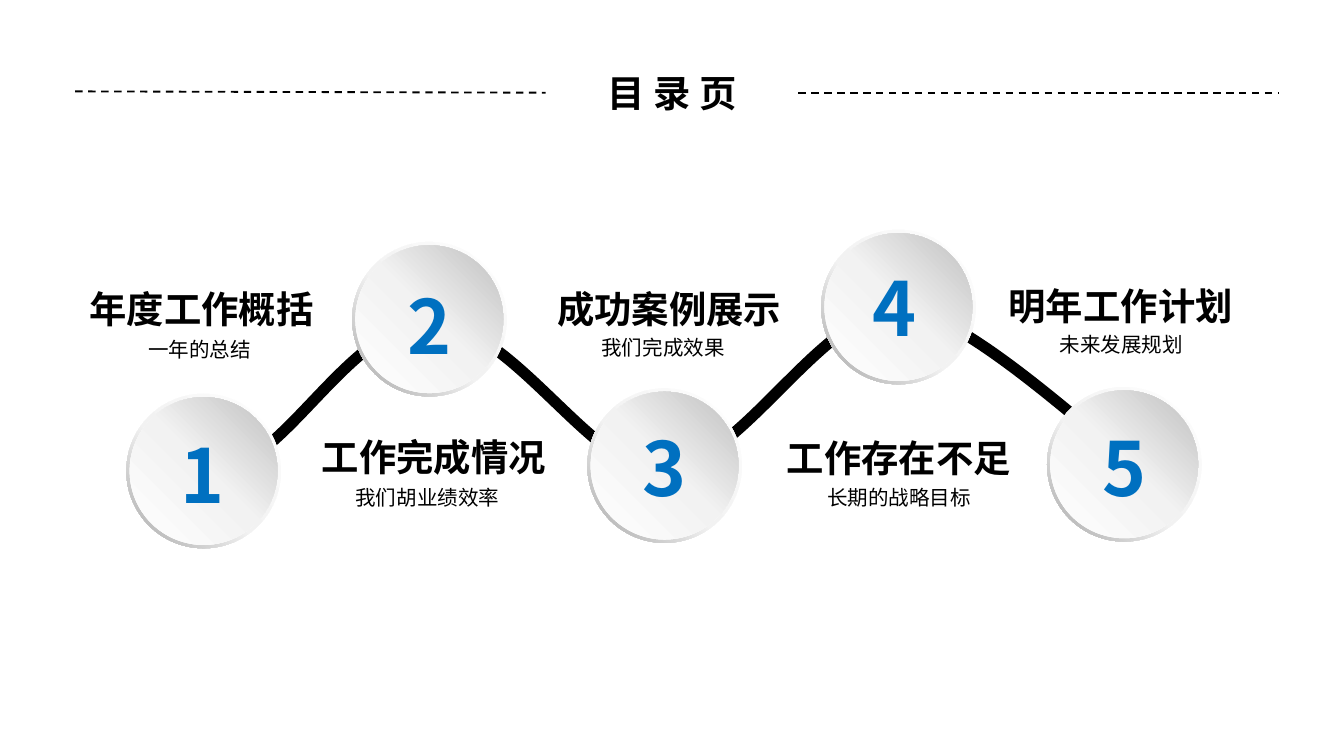
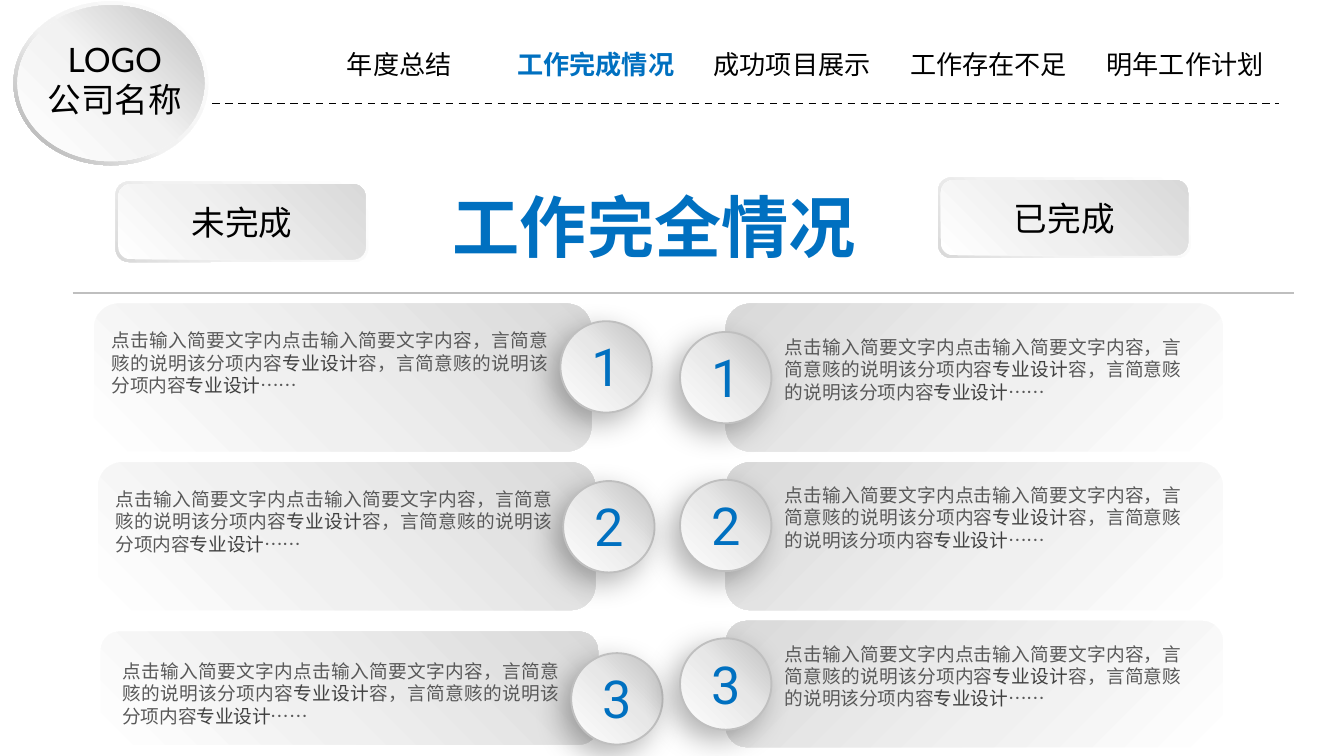
"""Build a contents slide and a work-completion slide on a grid of 100 columns."""
from dataclasses import dataclass
from typing import NamedTuple

from lxml import etree
from pptx import Presentation
from pptx.dml.color import RGBColor
from pptx.enum.dml import MSO_LINE
from pptx.enum.shapes import MSO_CONNECTOR, MSO_SHAPE
from pptx.enum.text import MSO_ANCHOR, MSO_AUTO_SIZE, PP_ALIGN
from pptx.oxml.ns import qn
from pptx.util import Inches, Pt

SLIDE_WIDTH, SLIDE_HEIGHT = Inches(10), Inches(5.625)
CELL = SLIDE_WIDTH // 100

BLACK = RGBColor(0x00, 0x00, 0x00)
WHITE = RGBColor(0xFF, 0xFF, 0xFF)
BLUE = RGBColor(0x00, 0x70, 0xC0)
SILVER = RGBColor(0xBF, 0xBF, 0xBF)
MIST = RGBColor(0xF2, 0xF2, 0xF2)
PEARL = RGBColor(0xF0, 0xF0, 0xF0)
CLOUD = RGBColor(0xE7, 0xE7, 0xE7)
FOG = RGBColor(0xD9, 0xD9, 0xD9)
STEEL = RGBColor(0xA6, 0xA6, 0xA6)
BODY_GREY = RGBColor(0x59, 0x59, 0x59)
STRONG_GREY = RGBColor(0x40, 0x40, 0x40)

CJK_FONT, LOGO_FONT, NUMBER_FONT = "Noto Sans CJK SC", "Lato", "Roboto"
DONUT, ELLIPSE, ROUNDED = MSO_SHAPE.DONUT, MSO_SHAPE.OVAL, MSO_SHAPE.ROUNDED_RECTANGLE
STRAIGHT, DASH = MSO_CONNECTOR.STRAIGHT, MSO_LINE.DASH
LEFT, CENTER, JUSTIFY = PP_ALIGN.LEFT, PP_ALIGN.CENTER, PP_ALIGN.JUSTIFY
TOP, MIDDLE = MSO_ANCHOR.TOP, MSO_ANCHOR.MIDDLE
GROW = MSO_AUTO_SIZE.SHAPE_TO_FIT_TEXT


class Box(NamedTuple):
    left: float
    top: float
    width: float
    height: float

    def lengths(self) -> list[int]:
        return [round(value * CELL) for value in self]

    def inset(self, margin: float) -> "Box":
        return Box(self.left + margin, self.top + margin,
                   self.width - 2 * margin, self.height - 2 * margin)


class Gradient(NamedTuple):
    stops: tuple[tuple[int, RGBColor], ...]
    angle: int | None


@dataclass(frozen=True)
class TextStyle:
    size: float
    color: RGBColor = BLACK
    bold: bool = False
    font: str = CJK_FONT
    align: PP_ALIGN = CENTER


class Milestone(NamedTuple):
    number: int
    disc: tuple[float, float]
    digit: tuple[float, float]
    title: str
    title_at: tuple[float, float]
    caption: str
    caption_box: Box


class Card(NamedTuple):
    number: int
    panel: Box
    circle: tuple[float, float]
    note: Box
    mirrored: bool


RIM = Gradient(((0, WHITE), (55, MIST), (100, STEEL)), 135)
FACE = Gradient(((0, WHITE), (51, MIST), (100, SILVER)), 315)
BUTTON_RIM = Gradient(((0, WHITE), (62, MIST), (100, FOG)), 135)
PANEL = Gradient(((0, WHITE), (42, PEARL), (100, FOG)), 315)
BALL = Gradient(((0, WHITE), (55, CLOUD), (100, SILVER)), None)

HEADING = TextStyle(20, bold=True)
CAPTION = TextStyle(11)
MILESTONE_DIGIT = TextStyle(40, BLUE, True)
NAVIGATION = TextStyle(14)
ACTIVE_NAVIGATION = TextStyle(14, BLUE, True)
LABEL = TextStyle(18)
LOGO = TextStyle(18, font=LOGO_FONT)
BIG_TITLE = TextStyle(36, BLUE, True, align=LEFT)
CARD_DIGIT = TextStyle(28, BLUE, font=NUMBER_FONT)
NOTE = TextStyle(10, BODY_GREY, align=JUSTIFY)

MILESTONES = (
    Milestone(1, (9.4, 29.3), (12.3, 31.4), "年度工作概括", (5.2, 20.8),
              "一年的总结", Box(10, 24.6, 9.7, 2.9)),
    Milestone(2, (26.2, 18), (29.2, 20.3), "工作完成情况", (22.5, 31.8),
              "我们胡业绩效率", Box(25.4, 35.6, 12.8, 2.9)),
    Milestone(3, (43.7, 28.9), (46.7, 30.9), "成功案例展示", (40, 20.8),
              "我们完成效果", Box(43.7, 24.4, 11.3, 2.9)),
    Milestone(4, (61.1, 17.1), (63.8, 19), "工作存在不足", (57.1, 31.9),
              "长期的战略目标", Box(60.5, 35.6, 12.8, 2.9)),
    Milestone(5, (77.9, 28.8), (80.9, 30.9), "明年工作计划", (73.6, 20.6),
              "未来发展规划", Box(77.8, 24.2, 11.3, 2.9)),
)
WAVE = ((15.6, 35.2), (20.8, 35.3), (26.5, 23.5), (32.1, 23.5),
        (37.7, 23.6), (44, 35.2), (49.4, 35.3),
        (55.1, 35.1), (61.4, 23), (67, 22.9),
        (72.4, 22.8), (84.1, 34.6), (84.1, 34.4))

NAVIGATION_ITEMS = ("年度总结", "工作完成情况", "成功项目展示", "工作存在不足", "明年工作计划")
ACTIVE_ITEM = 1
BUTTONS = (("未完成", Box(8.6, 13.5, 18.8, 6)), ("已完成", Box(69.8, 13.2, 18.8, 6)))
NOTE_PARTS = ("点击输入简要文字内点击输入简要文字内容，言简意赅的说明该分项内容", "专业设计",
              "容，言简意赅的说明该分项内容", "专业设计", "……")
CARDS = (
    Card(1, Box(7, 22.6, 37, 11), (41.7, 23.9), Box(8.3, 24.5, 32.5, 5), False),
    Card(1, Box(54, 22.6, 37, 11), (50.6, 24.7), Box(58.4, 25, 29.5, 5.2), True),
    Card(2, Box(7.3, 34.4, 37, 11), (41.9, 35.8), Box(8.6, 36.3, 32.5, 5), False),
    Card(3, Box(7.5, 47, 37, 8.4), (42.5, 48.6), Box(9.1, 49.1, 32.5, 5), False),
    Card(2, Box(54, 34.4, 37, 11), (50.6, 35.7), Box(58.4, 36, 29.5, 5.2), True),
    Card(3, Box(54, 46.2, 37, 9.4), (50.6, 47.5), Box(58.4, 47.8, 29.5, 5.2), True),
)


def add_child(parent, tag: str, **attributes):
    """Append a drawing element with the given attributes."""
    return etree.SubElement(parent, qn(f"a:{tag}"),
                            {name: str(value) for name, value in attributes.items()})


def style_run(run, style: TextStyle, color: RGBColor | None = None) -> None:
    """Format one run, for Latin and East Asian letters alike."""
    run.font.size, run.font.bold, run.font.name = Pt(style.size), style.bold, style.font
    run.font.color.rgb = color or style.color
    add_child(run.font._element, "ea", typeface=CJK_FONT)


def write(text_frame, text: str, style: TextStyle) -> None:
    """Fill a text frame and format its runs."""
    text_frame.text = text
    for paragraph in text_frame.paragraphs:
        paragraph.alignment = style.align
        for run in paragraph.runs:
            style_run(run, style)


def add_text(slide, box: Box, text: str, style: TextStyle, wrap: bool = True,
             margins: bool = True, anchor: MSO_ANCHOR = TOP, grow: bool = True):
    """Add a text box and return its frame."""
    frame = slide.shapes.add_textbox(*box.lengths()).text_frame
    frame.word_wrap, frame.vertical_anchor = wrap, anchor
    if grow:
        frame.auto_size = GROW
    if not margins:
        frame.margin_left = frame.margin_top = frame.margin_right = frame.margin_bottom = 0
    write(frame, text, style)
    return frame


def add_gradient_shape(slide, kind: MSO_SHAPE, box: Box, gradient: Gradient):
    """Add an unlined preset shape with a linear or circular gradient."""
    shape = slide.shapes.add_shape(kind, *box.lengths())
    fill = add_child(shape._element.spPr, "gradFill", rotWithShape=1)
    stops = add_child(fill, "gsLst")
    for position, color in gradient.stops:
        stop = add_child(stops, "gs", pos=position * 1000)
        add_child(stop, "srgbClr", val=color)
    if gradient.angle is None:
        circle = add_child(fill, "path", path="circle")
        add_child(circle, "fillToRect", l=0, t=100000, r=100000, b=0)
    else:
        add_child(fill, "lin", ang=gradient.angle * 60000, scaled=0)
    shape.line.fill.background()
    shape.shadow.inherit = False
    return shape


def add_disc(slide, box: Box, margin: float) -> None:
    """Add a shaded disc with a raised rim."""
    rim = add_gradient_shape(slide, DONUT, box, RIM)
    rim.adjustments[0] = 0.049
    add_gradient_shape(slide, ELLIPSE, box.inset(margin), FACE)


def add_rule(slide, start: tuple[float, float], end: tuple[float, float],
             color: RGBColor = BLACK, width: float = 1, dashed: bool = True) -> None:
    """Add a straight rule between two grid points."""
    points = [round(value * CELL) for value in (*start, *end)]
    rule = slide.shapes.add_connector(STRAIGHT, *points)
    rule.line.color.rgb, rule.line.width = color, Pt(width)
    if dashed:
        rule.line.dash_style = DASH
    add_child(rule._element.spPr, "effectLst")


def add_wave(slide) -> None:
    """Draw the curve that joins the milestones."""
    builder = slide.shapes.build_freeform(*WAVE[0], scale=CELL)
    builder.add_line_segments(WAVE[1:], close=False)
    wave = builder.convert_to_shape()
    segments = list(wave._element.iter(qn("a:lnTo")))
    outline = segments[0].getparent()
    for index, segment in enumerate(segments):
        if index % 3 == 0:
            curve = add_child(outline, "cubicBezTo")
        curve.append(segment[0])
        outline.remove(segment)
    wave.fill.background()
    wave.line.color.rgb, wave.line.width = BLACK, Pt(6)
    wave.shadow.inherit = False


def add_milestone(slide, milestone: Milestone) -> None:
    """Add a numbered disc with its title and caption."""
    add_text(slide, Box(*milestone.title_at, 19.6, 4.4), milestone.title, HEADING)
    add_text(slide, milestone.caption_box, milestone.caption, CAPTION, wrap=False)
    add_disc(slide, Box(*milestone.disc, 11.5, 11.5), 0.25)
    add_text(slide, Box(*milestone.digit, 5.5, 7.7), str(milestone.number),
             MILESTONE_DIGIT, wrap=False)


def add_navigation(slide) -> None:
    """Add the section bar with the current section highlighted."""
    frame = slide.shapes.add_table(1, len(NAVIGATION_ITEMS),
                                   *Box(22.4, 2.9, 73.1, 3.05).lengths())
    table = frame.table
    table.first_row = table.horz_banding = False
    for index, item in enumerate(NAVIGATION_ITEMS):
        cell = table.cell(0, index)
        cell.fill.background()
        cell.margin_left = cell.margin_right = round(0.7 * CELL)
        cell.margin_top = cell.margin_bottom = round(0.4 * CELL)
        write(cell.text_frame, item,
              ACTIVE_NAVIGATION if index == ACTIVE_ITEM else NAVIGATION)


def add_button(slide, label: str, box: Box) -> None:
    """Add a raised column label."""
    add_gradient_shape(slide, ROUNDED, box, BUTTON_RIM)
    face = add_gradient_shape(slide, ROUNDED, box.inset(0.2), PANEL)
    face.text_frame.vertical_anchor = MIDDLE
    write(face.text_frame, label, LABEL)


def add_card(slide, card: Card) -> None:
    """Add a panel with a numbered ball and a two-tone note."""
    panel = add_gradient_shape(slide, ROUNDED, card.panel, PANEL)
    if card.mirrored:
        panel._element.spPr.find(qn("a:xfrm")).set("flipH", "1")
    left, top = card.circle
    ball = add_gradient_shape(slide, ELLIPSE, Box(left, top, 6.8, 6.8), BALL)
    ball.line.color.rgb, ball.line.width = SILVER, Pt(1)
    shadow = add_child(ball._element.spPr.find(qn("a:effectLst")), "outerShdw",
                       blurRad=Pt(16), dist=Pt(7), dir=135 * 60000,
                       algn="tr", rotWithShape=0)
    add_child(add_child(shadow, "srgbClr", val=BLACK), "alpha", val=30000)
    add_text(slide, Box(left + 1.9, top + 1, 3, 4.7), str(card.number),
             CARD_DIGIT, margins=False)
    paragraph = add_text(slide, card.note, NOTE_PARTS[0], NOTE, margins=False).paragraphs[0]
    paragraph.line_spacing = Pt(12)
    for index, part in enumerate(NOTE_PARTS[1:], 1):
        run = paragraph.add_run()
        run.text = part
        style_run(run, NOTE, STRONG_GREY if index % 2 else BODY_GREY)


def build_contents(slide) -> None:
    """Draw the contents slide."""
    add_wave(slide)
    for milestone in MILESTONES:
        add_milestone(slide, milestone)
    add_text(slide, Box(39, 5.2, 22, 3.4), "目 录 页", HEADING, margins=False)
    add_rule(slide, (5.6, 6.8), (40.6, 6.9))
    add_rule(slide, (59.4, 6.9), (95.2, 6.9))


def build_completion(slide) -> None:
    """Draw the work-completion slide."""
    add_disc(slide, Box(1, 0.1, 14.5, 12.2), 0.3)
    add_text(slide, Box(1.3, 4.4, 14.5, 3), "LOGO\n公司名称", LOGO,
             anchor=MIDDLE, grow=False)
    add_navigation(slide)
    add_rule(slide, (15.8, 7.7), (95.2, 7.7))
    add_rule(slide, (5.4, 21.8), (96.3, 21.8), SILVER, 0.75, dashed=False)
    add_text(slide, Box(32.7, 13.3, 32.3, 7.1), "工作完全情况", BIG_TITLE, wrap=False)
    for label, box in BUTTONS:
        add_button(slide, label, box)
    for card in CARDS:
        add_card(slide, card)


def main() -> None:
    """Build and save the presentation."""
    presentation = Presentation()
    presentation.slide_width, presentation.slide_height = SLIDE_WIDTH, SLIDE_HEIGHT
    for build in (build_contents, build_completion):
        build(presentation.slides.add_slide(presentation.slide_layouts[6]))
    presentation.save("out.pptx")


if __name__ == "__main__":
    main()
